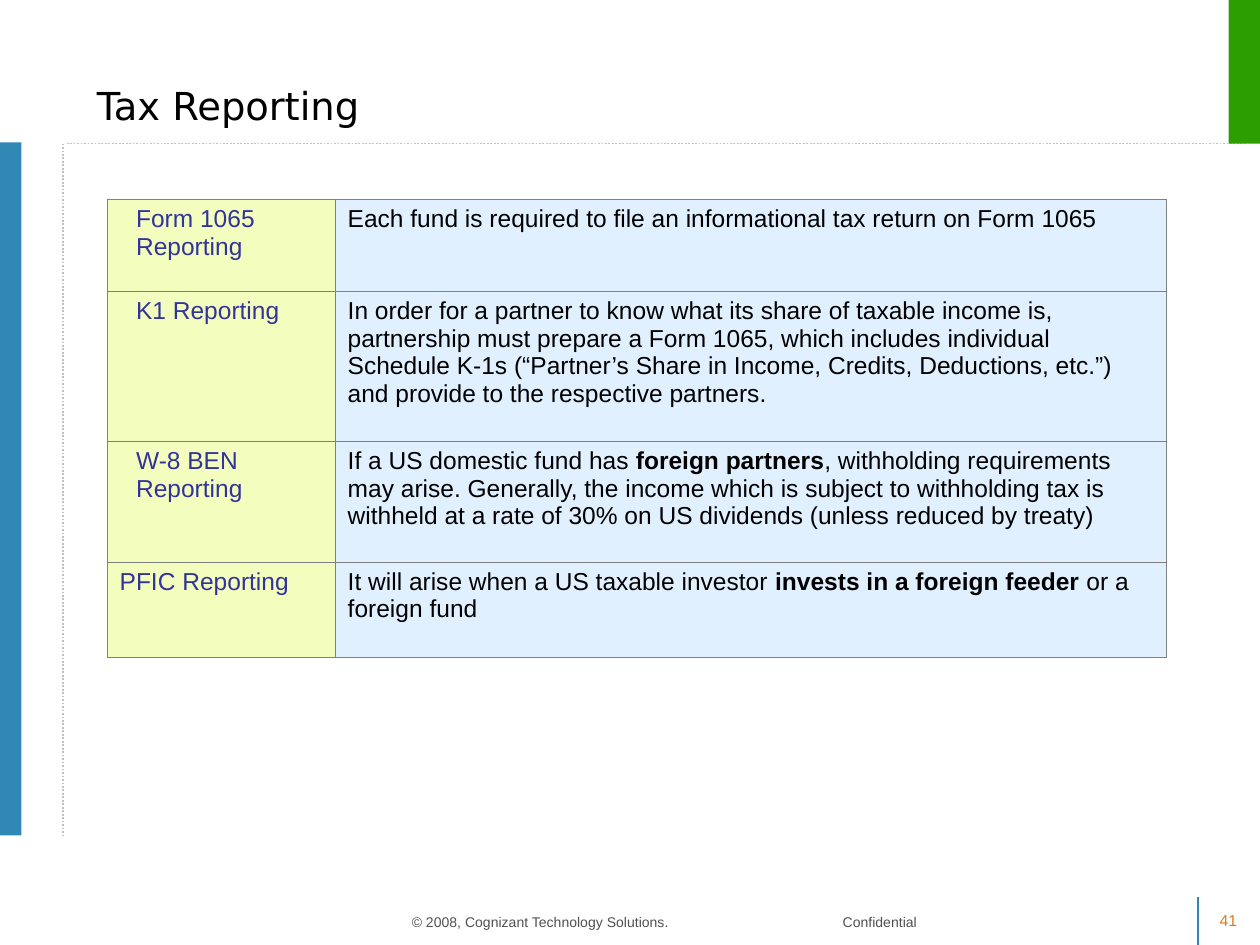
from lxml import etree
from pptx import Presentation
from pptx.dml.color import RGBColor
from pptx.enum.dml import MSO_LINE
from pptx.enum.shapes import MSO_CONNECTOR, MSO_SHAPE
from pptx.enum.text import MSO_ANCHOR, PP_ALIGN
from pptx.oxml import parse_xml
from pptx.oxml.ns import nsdecls, qn
from pptx.util import Inches, Pt

HUES = {
    "black": "000000", "blue": "3188B4", "green": "2D9E01",
    "silver": "C0C0C0", "gray": "505050", "orange": "DF7A1C",
    "indigo": "333399", "lime": "E8FD7F", "sky": "C5E2FF", "edge": "808080",
}


def write(frame, parts, hue, size, face="Arial"):
    """Fill the first paragraph with runs; every second run is bold."""
    frame.word_wrap = True
    par = frame.paragraphs[0]
    for i, part in enumerate(parts):
        run = par.add_run()
        run.text = part
        look = {"name": face, "size": Pt(size), "bold": i % 2 == 1}
        for key, val in look.items():
            setattr(run.font, key, val)
        run.font.color.rgb = RGBColor.from_string(HUES[hue])
    return par


def paint(cell, hue):
    """Give a cell a half-clear fill and thin edges."""
    cell.fill.solid()
    cell.fill.fore_color.rgb = RGBColor.from_string(HUES[hue])
    props = cell._tc.get_or_add_tcPr()
    tone = props.find(".//" + qn("a:srgbClr"))
    etree.SubElement(tone, qn("a:alpha")).set("val", "50000")
    for i, side in enumerate(("lnL", "lnR", "lnT", "lnB")):
        props.insert(i, parse_xml(
            f'<a:{side} {nsdecls("a")} w="{Pt(0.45)}"><a:solidFill>'
            f'<a:srgbClr val="{HUES["edge"]}"/></a:solidFill></a:{side}>'))


deck = Presentation()
deck.slide_width, deck.slide_height = Inches(10), Inches(7.5)
slide = deck.slides.add_slide(deck.slide_layouts[6])
shapes = slide.shapes

# Rules
rules = []
for ends, hue, dash in (
    ((9.51, 7.5, 9.51, 7.12), "blue", MSO_LINE.SOLID),
    ((0.53, 1.14, 9.86, 1.14), "silver", MSO_LINE.ROUND_DOT),
    ((0.5, 1.14, 0.5, 6.64), "silver", MSO_LINE.ROUND_DOT),
):
    rule = shapes.add_connector(MSO_CONNECTOR.STRAIGHT, *map(Inches, ends))
    rule.line.color.rgb = RGBColor.from_string(HUES[hue])
    rule.line.width = Pt(1)
    rule.line.dash_style = dash
    etree.SubElement(rule._element.spPr, qn("a:effectLst"))
    rules.append(rule)

# Side bar and corner block
for box, hue in (((0, 1.13, 0.17, 5.5), "blue"),
                 ((9.75, 0, 0.25, 1.14), "green")):
    block = shapes.add_shape(MSO_SHAPE.RECTANGLE, *map(Inches, box))
    block.shadow.inherit = False
    block.fill.solid()
    block.fill.fore_color.rgb = RGBColor.from_string(HUES[hue])
    block.line.fill.background()
rules[1].end_connect(block, 2)

# Title, footer and page number
low, top = MSO_ANCHOR.BOTTOM, MSO_ANCHOR.TOP
left, mid = PP_ALIGN.LEFT, PP_ALIGN.CENTER
foot = "© 2008, Cognizant Technology Solutions.\tConfidential"
for box, text, hue, size, face, anchor, align in (
    ((0.67, 0.4, 8.91, 0.67), "Tax Reporting", "black", 22, "DejaVu Sans", low, left),
    ((3.17, 7.03, 5.66, 0.4), foot, "gray", 8, "Arial", low, left),
    ((9.55, 7.18, 0.4, 0.25), "41", "orange", 9, "Arial", top, mid),
):
    frame = shapes.add_textbox(*map(Inches, box)).text_frame
    frame.vertical_anchor = anchor
    par = write(frame, [text], hue, size, face)
    par.alignment = align
    if "\t" in text:
        tabs = etree.SubElement(par._p.get_or_add_pPr(), qn("a:tabLst"))
        stop = etree.SubElement(tabs, qn("a:tab"))
        stop.set("pos", str(Inches(3.42)))
        stop.set("algn", "l")

# Table of reports: height, name, indent, note
rows = (
    (0.73, "Form 1065 Reporting", 0.13,
     ["Each fund is required to file an informational tax return on Form 1065"]),
    (1.19, "K1 Reporting", 0.13,
     ["In order for a partner to know what its share of taxable income is, "
      "partnership must prepare a Form 1065, which includes individual "
      "Schedule K-1s (“Partner’s Share in Income, Credits, Deductions, etc.”) "
      "and provide to the respective partners."]),
    (0.96, "W-8 BEN Reporting", 0.13,
     ["If a US domestic fund has ", "foreign partners",
      ", withholding requirements may arise. Generally, the income which is "
      "subject to withholding tax is withheld at a rate of 30% on US dividends "
      "(unless reduced by treaty)"]),
    (0.76, "PFIC Reporting", 0,
     ["It will arise when a US taxable investor ",
      "invests in a foreign feeder ", "or a foreign fund"]),
)
box = (0.85, 1.58, 8.41, 3.64)
table = shapes.add_table(len(rows), 2, *map(Inches, box)).table
table.first_row = table.horz_banding = False
for col, wide in zip(table.columns, (1.81, 6.6)):
    col.width = Inches(wide)
for i, (high, name, indent, note) in enumerate(rows):
    table.rows[i].height = Inches(high)
    head, body = table.cell(i, 0), table.cell(i, 1)
    par = write(head.text_frame, [name], "indigo", 14)
    par._p.get_or_add_pPr().set("marL", str(Inches(indent)))
    write(body.text_frame, note, "black", 14)
    paint(head, "lime")
    paint(body, "sky")

deck.save("out.pptx")
